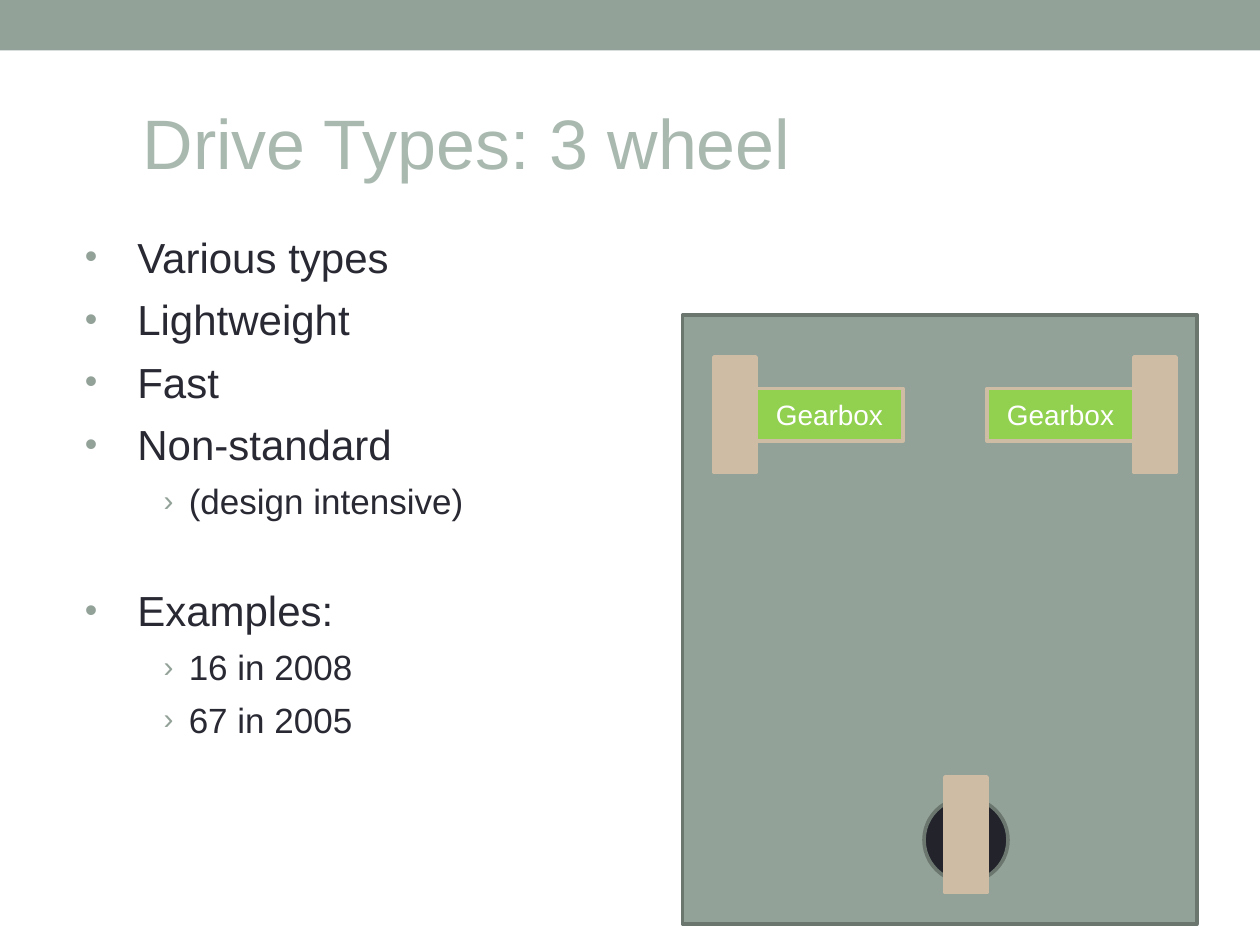
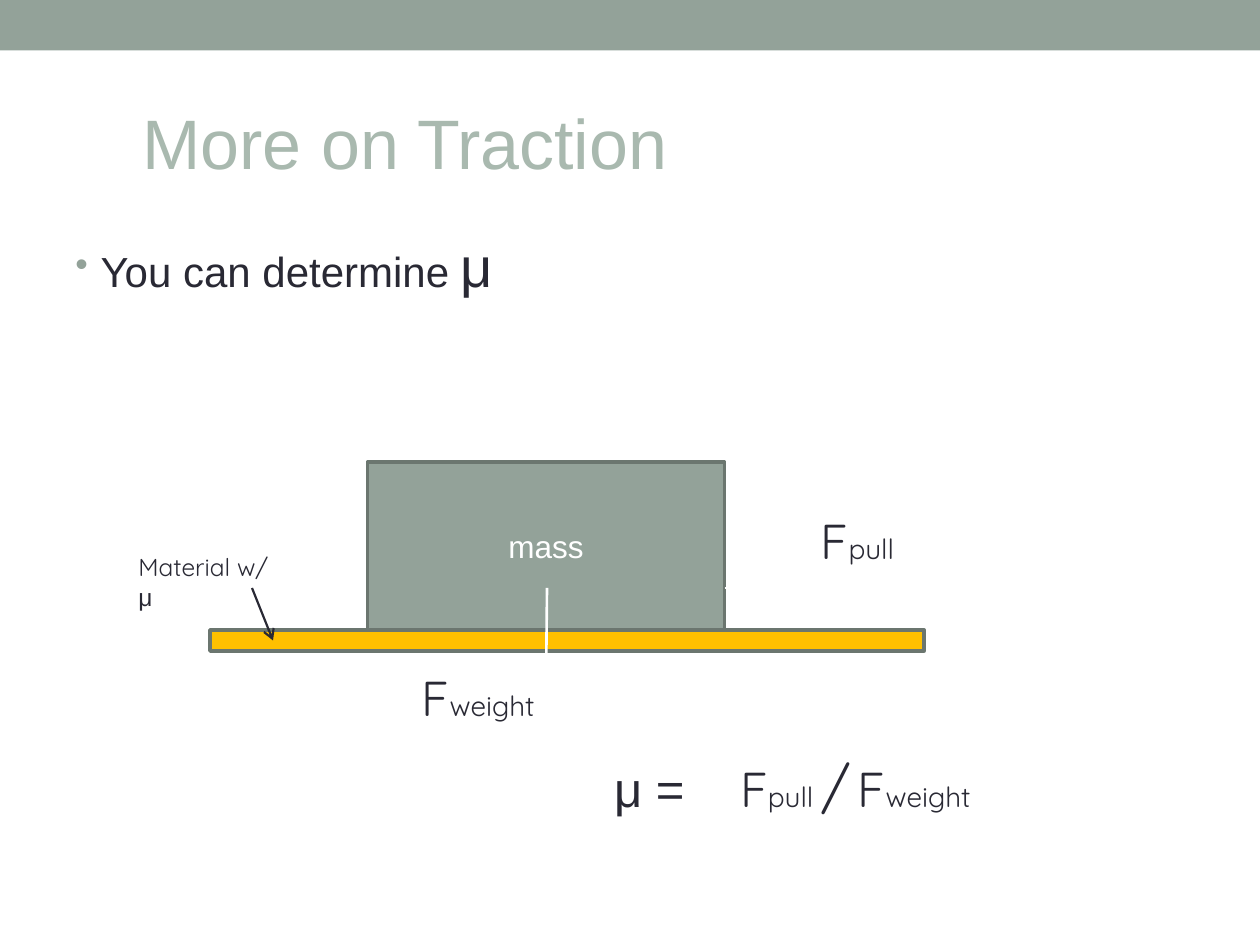
from dataclasses import dataclass
from typing import NamedTuple

from lxml.etree import SubElement
from pptx import Presentation
from pptx.dml.color import RGBColor
from pptx.enum.shapes import MSO_CONNECTOR, MSO_SHAPE
from pptx.enum.text import MSO_ANCHOR as ANCHOR, PP_ALIGN as ALIGN
from pptx.oxml.ns import qn
from pptx.util import Pt

PX = 7620  # EMU per px, 120 px to the inch
COLORS = {
    "sage": "93A299", "edge": "6B766F", "title": "A9B9AF", "ink": "292934",
    "dark": "23232C", "tan": "CEBCA4", "green": "92D050", "amber": "FFC000",
    "white": "FFFFFF",
}
SANS, HAND = "Arial", "Quicksand"
EDGE_PT = 2.07


class Box(NamedTuple):
    x: int
    y: int
    w: int
    h: int


class Run(NamedTuple):
    text: str
    size: int
    font: str = SANS
    color: str = "ink"


class Bullet(NamedTuple):
    char: str
    level: int
    left: int
    hang: int


@dataclass
class Block:
    box: Box
    fill: str
    line: str | None = "edge"
    text: str = ""
    size: int = 16
    kind: MSO_SHAPE = MSO_SHAPE.RECTANGLE


@dataclass
class Para:
    runs: list[Run]
    bullet: Bullet | None = None
    before: int = 0
    indent: int = 0
    tab: int = 0


@dataclass
class Label:
    box: Box
    runs: list[Run]
    tab: int = 0
    left: int = 12


@dataclass
class Arrow:
    start: tuple[int, int]
    end: tuple[int, int]
    color: str
    width: float


TITLE_BOX = Box(60, 70, 1080, 130)
BODY_BOX = Box(60, 210, 1080, 640)
MAIN = Bullet("•", 0, 59, 50)
SUB = Bullet("›", 1, 108, 24)
CLOSE = Bullet("•", 0, 24, 24)


def rgb(name: str) -> RGBColor:
    return RGBColor.from_string(COLORS[name])


def emu(*lengths: int) -> list[int]:
    return [n * PX for n in lengths]


def add_runs(p, runs: list[Run]) -> None:
    for run in runs:
        r = p.add_run()
        r.text = run.text
        for key, value in {"name": run.font, "size": Pt(run.size)}.items():
            setattr(r.font, key, value)
        r.font.color.rgb = rgb(run.color)


def format_para(p, para: Para) -> None:
    pPr = p._p.get_or_add_pPr()
    left, hang = para.indent, 0
    if para.bullet:
        b = para.bullet
        left, hang = b.left, b.hang
        p.level = b.level
        clr = SubElement(pPr, qn("a:buClr"))
        SubElement(clr, qn("a:srgbClr"), val=COLORS["sage"])
        SubElement(pPr, qn("a:buSzPct"), val="85000")
        SubElement(pPr, qn("a:buFont"), typeface=SANS)
        SubElement(pPr, qn("a:buChar"), char=b.char)
    if para.tab:
        tabs = SubElement(pPr, qn("a:tabLst"))
        SubElement(tabs, qn("a:tab"), pos=str(para.tab * PX), algn="l")
    pPr.set("marL", str(left * PX))
    pPr.set("indent", str(-hang * PX))
    if para.before:
        p.space_before = Pt(para.before)
    add_runs(p, para.runs)


def add_text(s, box: Box, paras: list[Para], anchor=ANCHOR.TOP,
             left: int = 12, top: int = 6) -> None:
    tf = s.shapes.add_textbox(*emu(*box)).text_frame
    frame = {"word_wrap": True, "vertical_anchor": anchor,
             "margin_left": left * PX, "margin_top": top * PX}
    for key, value in frame.items():
        setattr(tf, key, value)
    for i, para in enumerate(paras):
        format_para(tf.add_paragraph() if i else tf.paragraphs[0], para)


def add_block(s, block: Block) -> None:
    sp = s.shapes.add_shape(block.kind, *emu(*block.box))
    sp.shadow.inherit = False
    sp.fill.solid()
    sp.fill.fore_color.rgb = rgb(block.fill)
    if block.line:
        sp.line.color.rgb = rgb(block.line)
        sp.line.width = Pt(EDGE_PT)
    else:
        sp.line.fill.background()
    if block.text:
        tf = sp.text_frame
        tf.vertical_anchor = ANCHOR.MIDDLE
        p = tf.paragraphs[0]
        p.alignment = ALIGN.CENTER
        add_runs(p, [Run(block.text, block.size, color="white")])


def add_arrow(s, arrow: Arrow) -> None:
    c = s.shapes.add_connector(MSO_CONNECTOR.STRAIGHT,
                               *emu(*arrow.start, *arrow.end))
    c.line.color.rgb = rgb(arrow.color)
    c.line.width = Pt(arrow.width)
    SubElement(c.line._get_or_add_ln(), qn("a:tailEnd"), type="arrow")
    SubElement(c._element.spPr, qn("a:effectLst"))


def add_label(s, label: Label) -> None:
    add_text(s, label.box, [Para(label.runs, tab=label.tab)], left=label.left)


def force(name: str) -> list[Run]:
    return [Run("F", 28, HAND), Run(name, 16, HAND)]


def start_slide(prs, title: str):
    s = prs.slides.add_slide(prs.slide_layouts[6])
    add_block(s, Block(Box(0, 0, 1200, 48), "sage", None))
    heading = Para([Run(title, 40, color="title")], indent=64)
    add_text(s, TITLE_BOX, [heading], ANCHOR.MIDDLE)
    return s


def three_wheel_slide(prs) -> None:
    s = start_slide(prs, "Drive Types: 3 wheel")

    # Chassis and caster
    add_block(s, Block(Box(650, 300, 490, 580), "sage"))
    add_block(s, Block(Box(880, 760, 80, 80), "dark", kind=MSO_SHAPE.OVAL))

    # Bullet list: text, style, space before
    points = [
        ("Various types", MAIN, 0), ("Lightweight", MAIN, 7),
        ("Fast", MAIN, 7), ("Non-standard", MAIN, 7),
        ("(design intensive)", SUB, 6), ("Examples:", MAIN, 36),
        ("16 in 2008", SUB, 6), ("67 in 2005", SUB, 6),
    ]
    add_text(s, BODY_BOX, [
        Para([Run(text, 24 - 4 * bullet.level)], bullet, before)
        for text, bullet, before in points], top=10)

    # Gearboxes, then the three wheels
    for x in (720, 940):
        add_block(s, Block(Box(x, 370, 140, 50), "green", "tan", "Gearbox"))
    for x, y in ((680, 340), (1080, 340), (900, 740)):
        add_block(s, Block(Box(x, y, 40, 110), "tan", "tan"))


def traction_slide(prs) -> None:
    s = start_slide(prs, "More on Traction")
    add_text(s, BODY_BOX, [
        Para([Run("You can determine ", 24), Run("μ", 32)], CLOSE)], top=10)

    # Surface and the mass on it
    add_block(s, Block(Box(200, 600, 680, 20), "amber"))
    add_block(s, Block(Box(350, 440, 340, 160), "sage", text="mass", size=18))

    # Pull, weight and material arrows
    for arrow in (
        Arrow((690, 560), (850, 560), "white", 1.5),
        Arrow((521, 560), (520, 660), "white", 1.5),
        Arrow((240, 560), (260, 610), "ink", 1.25),
    ):
        add_arrow(s, arrow)

    # Labels and the formula
    formula = [Run("μ =\t", 28), *force("pull "), Run("/", 32, HAND),
               Run(" ", 16, HAND), *force("weight")]
    for label in (
        Label(Box(770, 480, 120, 68), force("pull")),
        Label(Box(390, 630, 140, 68), force("weight")),
        Label(Box(120, 520, 190, 41),
              [Run("Material w/\t", 14, HAND), Run("μ", 14)], tab=136),
        Label(Box(560, 710, 480, 77), formula, tab=93, left=25),
    ):
        add_label(s, label)


def main() -> None:
    prs = Presentation()
    prs.slide_width, prs.slide_height = emu(1200, 900)
    three_wheel_slide(prs)
    traction_slide(prs)
    prs.save("out.pptx")


if __name__ == "__main__":
    main()
